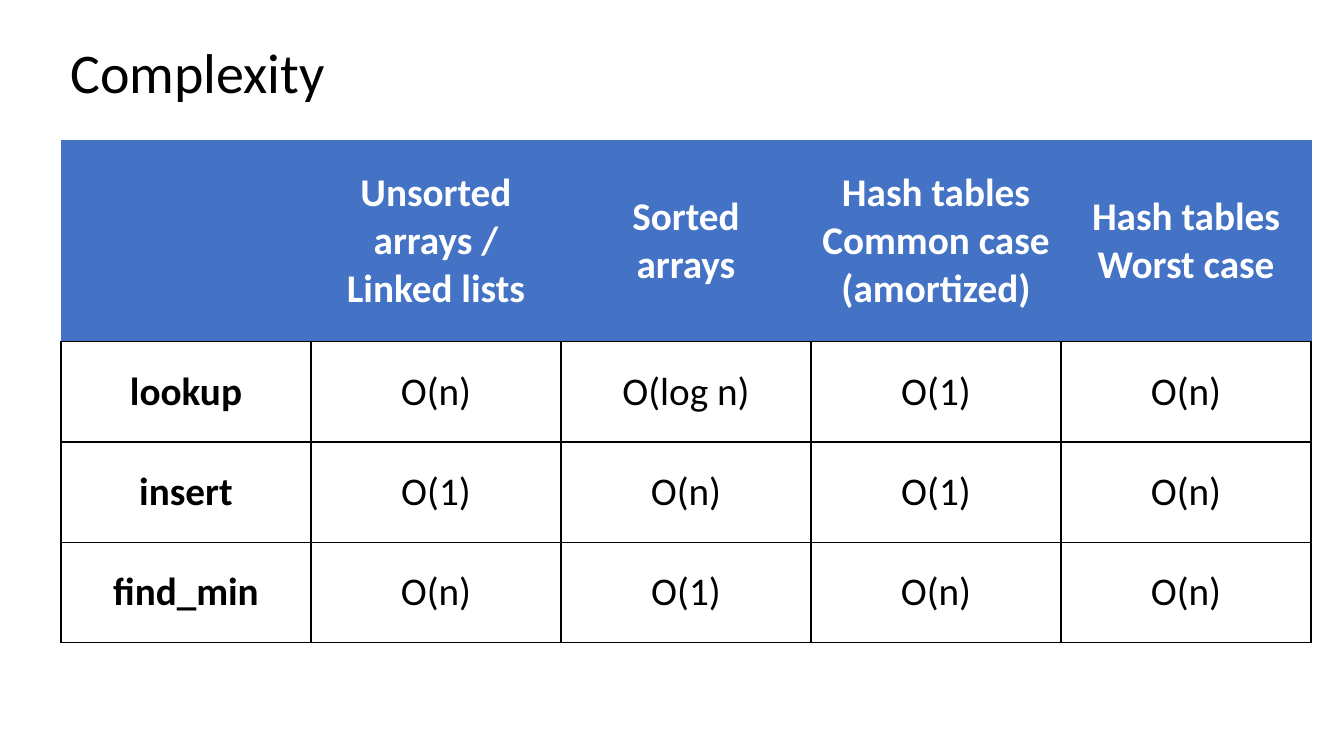
from lxml import etree
from pptx import Presentation
from pptx import util as u
from pptx.dml.color import RGBColor
from pptx.enum import text
from pptx.oxml import ns

BLACK = RGBColor(0x00, 0x00, 0x00)
WHITE = RGBColor(0xFF, 0xFF, 0xFF)
BLUE = RGBColor(0x44, 0x72, 0xC4)

HEAD = ["", "Unsorted arrays /\nLinked lists", "Sorted\narrays",
        "Hash tables\nCommon case\n(amortized)", "Hash tables\nWorst case"]
COSTS = [
    ["lookup", "O(n)", "O(log n)", "O(1)", "O(n)"],
    ["insert", "O(1)", "O(n)", "O(1)", "O(n)"],
    ["find_min", "O(n)", "O(1)", "O(n)", "O(n)"],
]


class Deck:
    """Hold the style and the current slide, and add elements in points."""

    font = "Calibri"

    def __init__(self, wide, high):
        self.prs = Presentation()
        self.prs.slide_width, self.prs.slide_height = u.Pt(wide), u.Pt(high)
        self.slide = self.prs.slides.add_slide(self.prs.slide_layouts[5])

    def words(self, frame, lines, size, color, align, bold=False):
        for i, line in enumerate(lines.split("\n")):
            para = frame.paragraphs[0] if i == 0 else frame.add_paragraph()
            para.alignment = align
            run = para.add_run()
            run.text = line
            run.font.name, run.font.size = self.font, u.Pt(size)
            run.font.bold, run.font.color.rgb = bold, color

    def title(self, lines, x, y, w, h):
        box = self.slide.shapes.title
        box.left, box.top, box.width, box.height = map(u.Pt, (x, y, w, h))
        frame = box.text_frame
        frame.word_wrap = True
        frame.vertical_anchor = text.MSO_ANCHOR.MIDDLE
        self.words(frame, lines, 40, BLACK, text.PP_ALIGN.LEFT)
        frame.paragraphs[0].line_spacing = 0.9

    def edge(self, cell, sides):
        props = cell._tc.get_or_add_tcPr()
        for i, (side, (color, width)) in enumerate(sides.items()):
            line = etree.Element(ns.qn(f"a:ln{side}"), w=str(u.Pt(width)))
            fill = etree.SubElement(line, ns.qn("a:solidFill"))
            etree.SubElement(fill, ns.qn("a:srgbClr"), val=str(color))
            props.insert(i, line)

    def table(self, rows, x, y, wide, highs):
        count = len(rows[0])
        grid = self.slide.shapes.add_table(
            len(rows), count, *map(u.Pt, (x, y, wide * count, sum(highs)))).table
        for col in grid.columns:
            col.width = u.Pt(wide)
        for r, row in enumerate(rows):
            grid.rows[r].height = u.Pt(highs[r])
            for c, lines in enumerate(row):
                self.cell(grid.cell(r, c), lines, r == 0, c == 0)

    def cell(self, cell, lines, head, first):
        cell.margin_left = cell.margin_right = u.Pt(5)
        cell.margin_top = cell.margin_bottom = 0
        cell.vertical_anchor = text.MSO_ANCHOR.MIDDLE
        cell.fill.solid()
        cell.fill.fore_color.rgb = BLUE if head else WHITE
        side = (BLUE, 0.5) if head else (BLACK, 1)
        self.edge(cell, {"L": side, "R": side,
                         "T": side, "B": (BLACK, 1)})
        if lines:
            self.words(cell.text_frame, lines, 28, WHITE if head else BLACK,
                       text.PP_ALIGN.CENTER, head or first)

    def save(self):
        self.prs.save("out.pptx")


def main():
    deck = Deck(960, 540)
    deck.title("Complexity", 43.2, 28.8, 828, 49.7)
    deck.table([HEAD] + COSTS, 43.5, 100.5, 178.6, [143.5] + [71.7] * 3)
    deck.save()


if __name__ == "__main__":
    main()
